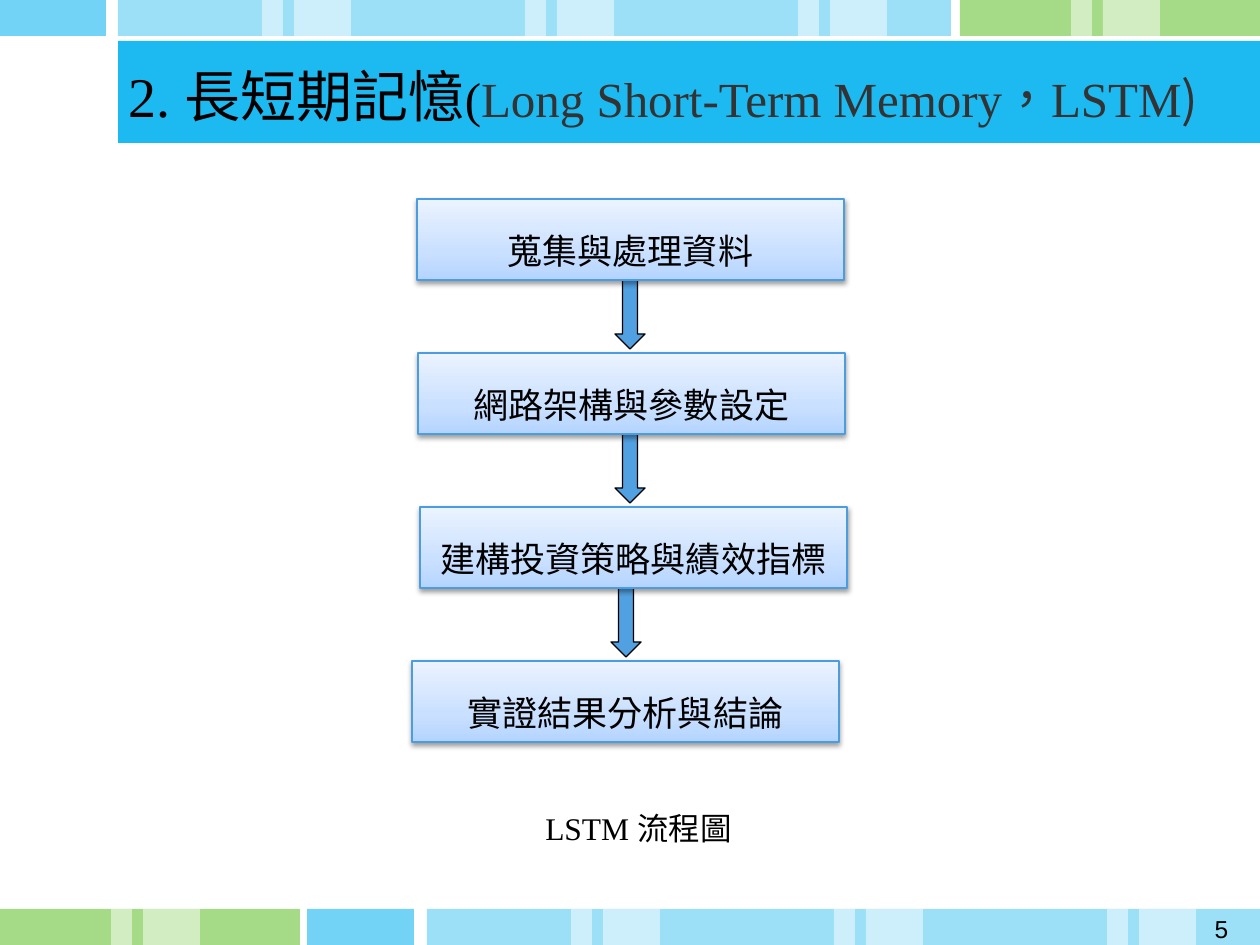
from lxml import etree
from pptx import Presentation, util as u
from pptx.dml import color
from pptx.enum import shapes, text
from pptx.oxml import ns, parse_xml

PX = 914400 / 126
A = ns.nsdecls("a")
CJK, SERIF, SANS = "Noto Sans CJK SC", "Times New Roman", "Arial"

STEPS = [
    (417, "蒐集與處理資料"),
    (418, "網路架構與參數設定"),
    (420, "建構投資策略與績效指標"),
    (412, "實證結果分析與結論"),
]
ARROW_LEFTS = [615, 615, 611]

GRADIENT = f"""<a:gradFill {A} rotWithShape="1"><a:gsLst>
<a:gs pos="0"><a:srgbClr val="B4D4FF"/></a:gs>
<a:gs pos="35000"><a:srgbClr val="CAE0FF"/></a:gs>
<a:gs pos="100000"><a:srgbClr val="EBF3FF"/></a:gs>
</a:gsLst><a:lin ang="16200000" scaled="1"/></a:gradFill>"""
SHADOW = f"""<a:effectLst {A}><a:outerShdw blurRad="39400" dist="20300" dir="5400000"
rotWithShape="0"><a:srgbClr val="000000"><a:alpha val="38000"/></a:srgbClr>
</a:outerShdw></a:effectLst>"""


def rgb(value):
    return color.RGBColor.from_string(value)


def emu(*lengths):
    return [round(length * PX) for length in lengths]


def assign(target, values):
    for name, value in values.items():
        setattr(target, name, value)


def add_block(slide, box, fill, opacity=100, kind="RECTANGLE", outline=None):
    block = slide.shapes.add_shape(shapes.MSO_SHAPE[kind], *emu(*box))
    block.shadow.inherit = False
    block.fill.solid()
    block.fill.fore_color.rgb = rgb(fill)
    if opacity < 100:
        tint = block.fill._xPr.find(".//" + ns.qn("a:srgbClr"))
        etree.SubElement(tint, ns.qn("a:alpha"), val=str(opacity * 1000))
    if outline:
        block.line.color.rgb = rgb(outline)
        block.line.width = u.Pt(0.75)
    else:
        block.line.fill.background()
    return block


def write(frame, runs, align="LEFT", spacing=None):
    paragraph = frame.paragraphs[0]
    assign(paragraph, {"alignment": text.PP_ALIGN[align], "line_spacing": spacing})
    for words, size, face, ink in runs:
        run = paragraph.add_run()
        run.text = words
        assign(run.font, {"size": u.Pt(size), "name": face})
        run.font.color.rgb = rgb(ink)
        properties = run.font._element
        properties.set("lang", "zh-TW")
        if face == CJK:
            latin = properties.find(ns.qn("a:latin"))
            latin.addnext(parse_xml(f'<a:ea {A} typeface="{CJK}"/>'))


def add_label(slide, box, runs, align="LEFT", wrap=True):
    label = slide.shapes.add_textbox(*emu(*box))
    assign(label.text_frame, {"word_wrap": wrap, "auto_size": text.MSO_AUTO_SIZE.NONE})
    write(label.text_frame, runs, align)


def add_color_strip(slide, top, block_left, band_left, green_left):
    height = 36
    add_block(slide, (block_left, top, 107, height), "72D3F6")
    add_block(slide, (band_left, top, 833, height), "72D3F6", 70)
    add_block(slide, (green_left, top, 300, height), "7FCD53", 70)
    pairs = [band_left + offset for offset in (144, 407, 680)] + [green_left + 111]
    for left in pairs:
        for offset, width in ((0, 21), (32, 57)):
            add_block(slide, (left + offset, top, width, height), "FFFFFF", 50)


def add_title(slide, box):
    left, top, width, height = box
    add_block(slide, box, "1DB9F1")
    add_label(slide, (left - 2, top + 14, width + 2, height - 21), [
        ("2. ", 32, SERIF, "000000"),
        ("長短期記憶", 32, CJK, "000000"),
        ("(", 28, SERIF, "000000"),
        ("Long Short-Term Memory，LSTM", 28, SERIF, "333333"),
        (")", 28, CJK, "333333"),
    ], wrap=False)


def add_step(slide, box, words):
    step = add_block(slide, box, "CAE0FF", kind="FLOWCHART_PROCESS", outline="4C9DE0")
    properties = step._element.spPr
    for tag, xml in (("a:solidFill", GRADIENT), ("a:effectLst", SHADOW)):
        properties.replace(properties.find(ns.qn(tag)), parse_xml(xml))
    assign(step.text_frame, {"word_wrap": True, "vertical_anchor": text.MSO_ANCHOR.MIDDLE})
    write(step.text_frame, [(words, 20, CJK, "000000")], "CENTER", 1.5)


def add_flow(slide, top, pitch=154, width=427, height=81):
    for index, left in enumerate(ARROW_LEFTS):
        arrow_top = top + index * pitch + height
        add_block(slide, (left, arrow_top, 30, 69), "51A0E1",
                  kind="DOWN_ARROW", outline="000000")
    for index, (left, words) in enumerate(STEPS):
        add_step(slide, (left, top + index * pitch, width, height), words)


def main():
    deck = Presentation()
    assign(deck, {"slide_width": u.Inches(10), "slide_height": u.Inches(7.5)})
    slide = deck.slides.add_slide(deck.slide_layouts[6])
    add_color_strip(slide, 0, block_left=-1, band_left=118, green_left=960)
    add_color_strip(slide, 909, block_left=307, band_left=427, green_left=0)
    add_title(slide, (118, 41, 1142, 102))
    add_flow(slide, 199)
    add_label(slide, (437, 803, 403, 50), [
        ("LSTM ", 18, SERIF, "000000"),
        ("流程圖", 18, CJK, "000000"),
    ], "CENTER")
    add_label(slide, (1182, 908, 79, 37), [("5", 14, SANS, "000000")], "CENTER")
    deck.save("out.pptx")


if __name__ == "__main__":
    main()
